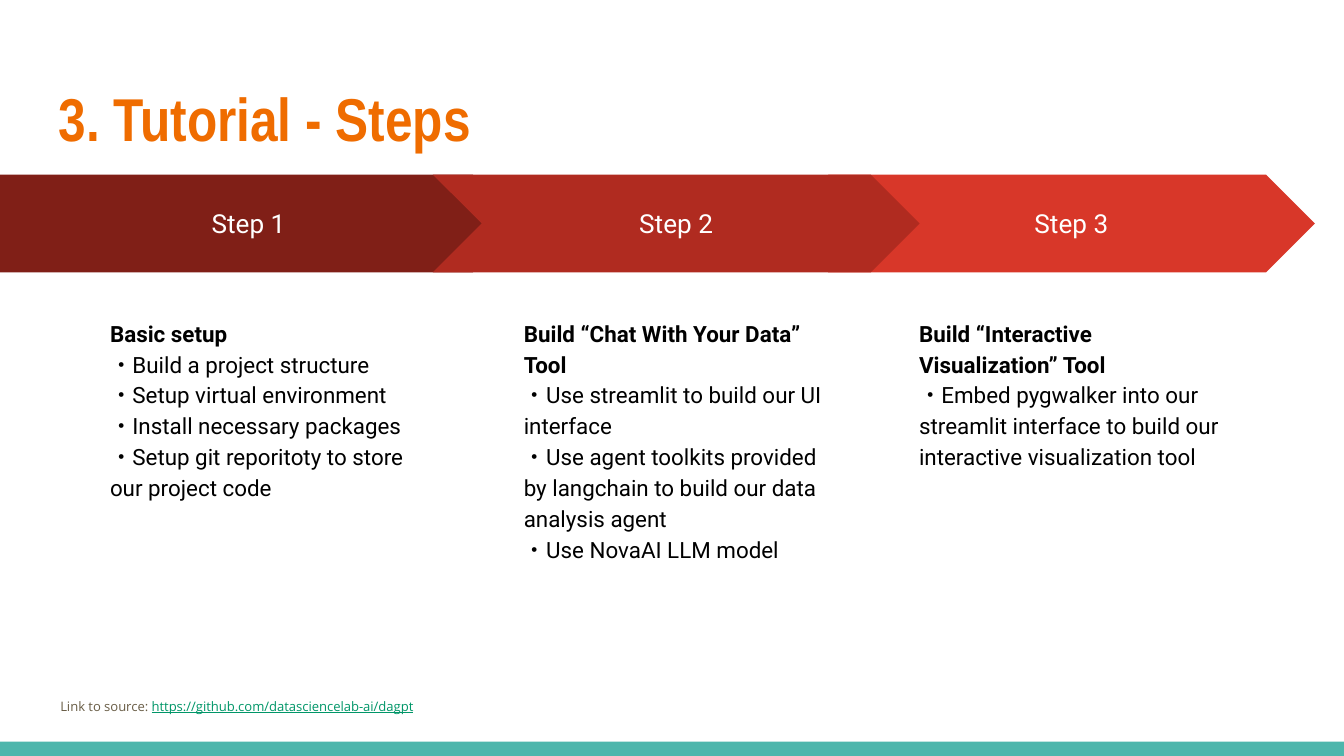
import pptx
import pptx.util
import pptx.dml.color
import pptx.enum.shapes
import pptx.enum.text

Cm = pptx.util.Cm
Pt = pptx.util.Pt
SHAPES = pptx.enum.shapes.MSO_SHAPE
MIDDLE = pptx.enum.text.MSO_ANCHOR.MIDDLE
TOP = pptx.enum.text.MSO_ANCHOR.TOP
CENTER = pptx.enum.text.PP_ALIGN.CENTER
LEFT = pptx.enum.text.PP_ALIGN.LEFT

TITLE = "3. Tutorial - Steps"
LINK_LABEL = "Link to source: "
LINK = "https://github.com/datasciencelab-ai/dagpt"

STEP_1 = {
    "name": "Step 1", "shape": SHAPES.PENTAGON, "color": "801F17",
    "left": 0, "width": 9.86, "text_left": 1.83,
    "heading": "Basic setup",
    "points": ["Build a project structure", "Setup virtual environment",
               "Install necessary packages",
               "Setup git reporitoty to store our project code"],
}
STEP_2 = {
    "name": "Step 2", "shape": SHAPES.CHEVRON, "color": "B02B20",
    "left": 8.18, "width": 9.2, "text_left": 9.65,
    "heading": "Build “Chat With Your Data” Tool",
    "points": ["Use streamlit to build our UI interface",
               "Use agent toolkits provided by langchain to build our data analysis agent",
               "Use NovaAI LLM model"],
}
STEP_3 = {
    "name": "Step 3", "shape": SHAPES.CHEVRON, "color": "D83729",
    "left": 15.65, "width": 9.2, "text_left": 17.12,
    "heading": "Build “Interactive Visualization” Tool",
    "points": ["Embed pygwalker into our streamlit interface "
               "to build our interactive visualization tool"],
}
BACK_TO_FRONT = [STEP_3, STEP_1, STEP_2]


def rgb(color):
    return pptx.dml.color.RGBColor.from_string(color)


def style(span, size, name, color, bold=False, underline=False):
    font = span.font
    font.size = Pt(size)
    font.name = name
    font.color.rgb = rgb(color)
    font.bold = bold
    font.underline = underline


def set_frame(box, anchor):
    frame = box.text_frame
    frame.word_wrap = True
    frame.auto_size = pptx.enum.text.MSO_AUTO_SIZE.NONE
    frame.vertical_anchor = anchor
    frame.margin_left = frame.margin_right = Cm(0.25)
    frame.margin_top = frame.margin_bottom = Cm(0.25)
    return frame


def add_filled(page, shape, left, top, width, height, color):
    box = page.shapes.add_shape(shape, Cm(left), Cm(top), Cm(width), Cm(height))
    box.shadow.inherit = False
    box.fill.solid()
    box.fill.fore_color.rgb = rgb(color)
    box.line.fill.background()
    return box


def add_text_box(page, left, top, width, height):
    box = page.shapes.add_textbox(Cm(left), Cm(top), Cm(width), Cm(height))
    return set_frame(box, TOP)


def add_title(page):
    title = page.shapes.title
    title.left, title.top = Cm(0.86), Cm(1.24)
    title.width, title.height = Cm(23.67), Cm(1.96)
    frame = set_frame(title, MIDDLE)
    frame.text = TITLE
    para = frame.paragraphs[0]
    para.alignment = LEFT
    style(para.runs[0], 32.4, "Arial Narrow", "EF6C00", bold=True)


def add_step(page, step):
    arrow = add_filled(page, step["shape"], step["left"], 3.3,
                       step["width"], 1.85, step["color"])
    arrow.adjustments[0] = 0.5
    frame = set_frame(arrow, MIDDLE)
    frame.text = step["name"]
    para = frame.paragraphs[0]
    para.alignment = CENTER
    style(para.runs[0], 14, "Roboto", "FFFFFF")

    frame = add_text_box(page, step["text_left"], 5.72, 6.22, 7.26)
    lines = [step["heading"]] + ["・" + point for point in step["points"]]
    frame.text = "\n".join(lines)
    for index, para in enumerate(frame.paragraphs):
        para.line_spacing = 1.15
        style(para.runs[0], 12, "Roboto", "000000", bold=index == 0)


def add_link(page):
    para = add_text_box(page, 0.89, 12.95, 23.62, 0.81).paragraphs[0]
    for text, color, underline in [(LINK_LABEL, "695D46", False),
                                   (LINK, "009668", True)]:
        span = para.add_run()
        span.text = text
        style(span, 7, "Open Sans", color, underline=underline)


def main():
    deck = pptx.Presentation()
    deck.slide_width, deck.slide_height = Cm(25.4), Cm(14.29)
    page = deck.slides.add_slide(deck.slide_layouts.get_by_name("Title Only"))
    add_filled(page, SHAPES.RECTANGLE, 0, 14.02, 25.4, 0.27, "4DB6AC")
    add_title(page)
    add_link(page)
    for step in BACK_TO_FRONT:
        add_step(page, step)
    deck.save("out.pptx")


if __name__ == "__main__":
    main()
